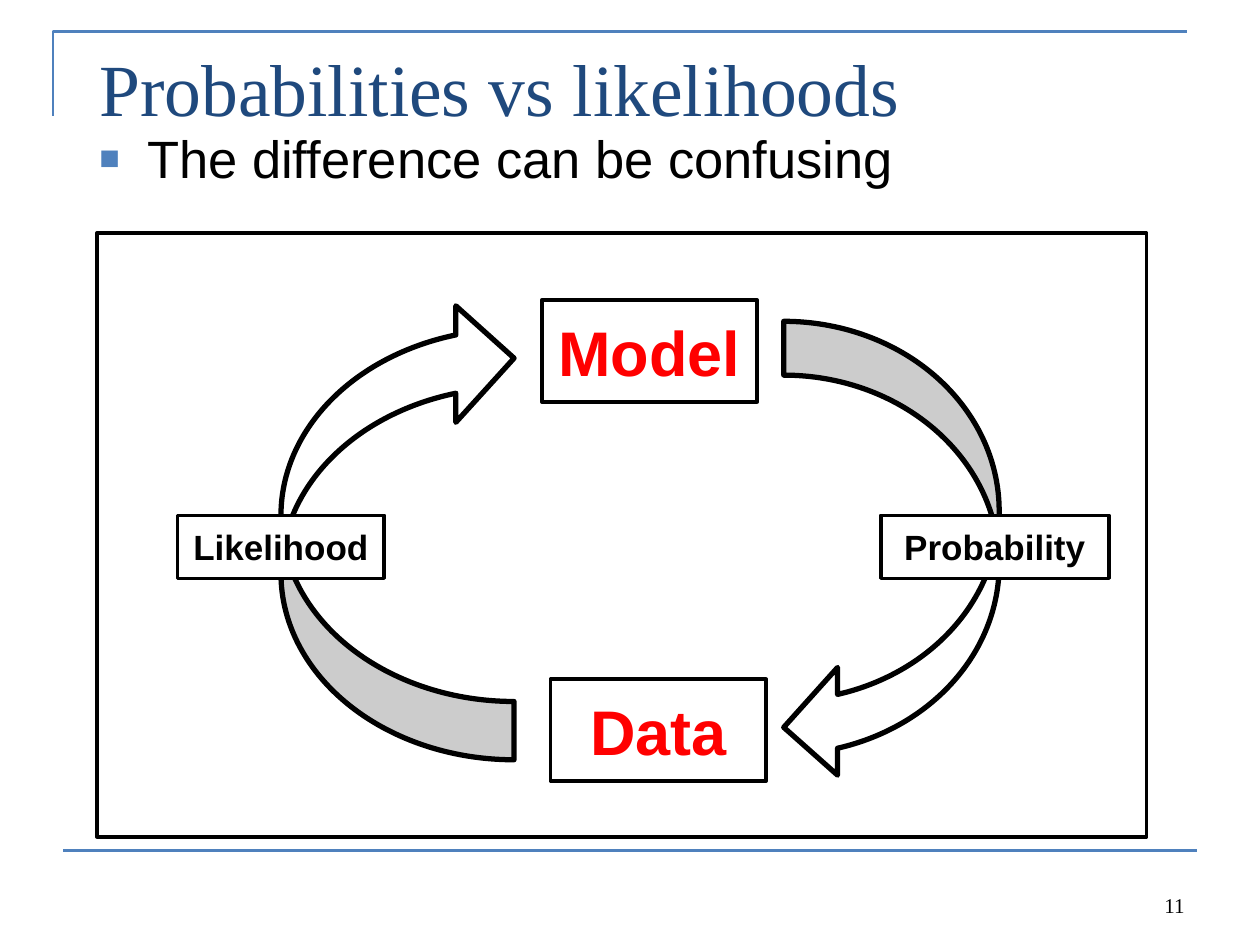
"""Build the slide contrasting probabilities with likelihoods."""
from dataclasses import dataclass

from lxml import etree
from pptx import Presentation
from pptx import util as u
from pptx.dml.color import RGBColor
from pptx.enum import shapes, text
from pptx.oxml import ns


@dataclass(frozen=True)
class Theme:
    accent: str = "4F81BD"
    heading: str = "1F497D"
    ink: str = "000000"
    paper: str = "FFFFFF"
    key: str = "FF0000"
    serif: str = "Times New Roman"
    sans: str = "Arial"
    title_size: float = 42
    body_size: float = 30
    key_size: float = 36
    label_size: float = 20
    number_size: float = 12


class SlideBuilder:
    def __init__(self, page, theme):
        self.page = page
        self.theme = theme

    def style_line(self, line, color, width):
        line.color.rgb = RGBColor.from_string(color)
        line.width = u.Pt(width)

    def style_shape(self, shape, fill, color, width):
        shape.shadow.inherit = False
        if fill:
            shape.fill.solid()
            shape.fill.fore_color.rgb = RGBColor.from_string(fill)
        else:
            shape.fill.background()
        self.style_line(shape.line, color, width)

    def add_span(self, para, words, font, size, color, bold=False):
        span = para.add_run()
        span.text = words
        span.font.name = font
        span.font.size = u.Pt(size)
        span.font.bold = bold
        span.font.color.rgb = RGBColor.from_string(color)

    def text_box(self, area, words, font, size, color, inset=0.05,
                 anchor=text.MSO_ANCHOR.TOP, align=text.PP_ALIGN.LEFT, bullet=False):
        frame = self.page.shapes.add_textbox(*map(u.Inches, area)).text_frame
        frame.word_wrap = True
        frame.margin_top = u.Inches(inset)
        frame.vertical_anchor = anchor
        para = frame.paragraphs[0]
        para.alignment = align
        if bullet:
            self.add_bullet(para)
        self.add_span(para, words, font, size, color)

    def add_bullet(self, para):
        props = para._p.get_or_add_pPr()
        indent = u.Inches(0.38)
        props.set("marL", str(indent))
        props.set("indent", str(-indent))
        color = etree.SubElement(props, ns.qn("a:buClr"))
        etree.SubElement(color, ns.qn("a:srgbClr"), val=self.theme.accent)
        etree.SubElement(props, ns.qn("a:buSzPct"), val="65000")
        etree.SubElement(props, ns.qn("a:buFont"), typeface=self.theme.sans)
        etree.SubElement(props, ns.qn("a:buChar"), char="■")

    def rule(self, start, end):
        line = self.page.shapes.add_connector(
            shapes.MSO_CONNECTOR.STRAIGHT, *map(u.Inches, start + end))
        self.style_line(line.line, self.theme.accent, 1.5)
        etree.SubElement(line._element.spPr, ns.qn("a:effectLst"))

    def corner(self, points):
        start, *rest = [tuple(map(u.Inches, point)) for point in points]
        outline = self.page.shapes.build_freeform(*start)
        outline.add_line_segments(rest, close=False)
        self.style_shape(outline.convert_to_shape(), None, self.theme.accent, 1.5)

    def arrow(self, area, rotation=0):
        shape = self.page.shapes.add_shape(
            shapes.MSO_SHAPE.CURVED_LEFT_ARROW, *map(u.Inches, area))
        shape.rotation = rotation
        self.style_shape(shape, self.theme.paper, self.theme.ink, 3)

    def box(self, area, words="", size=0, color="", fill=None, width=2):
        shape = self.page.shapes.add_shape(
            shapes.MSO_SHAPE.RECTANGLE, *map(u.Inches, area))
        self.style_shape(shape, fill, self.theme.ink, width)
        if words:
            frame = shape.text_frame
            frame.word_wrap = True
            frame.margin_left = frame.margin_right = 0
            frame.vertical_anchor = text.MSO_ANCHOR.MIDDLE
            para = frame.paragraphs[0]
            para.alignment = text.PP_ALIGN.CENTER
            self.add_span(para, words, self.theme.sans, size, color, bold=True)


def main():
    deck = Presentation()
    deck.slide_width, deck.slide_height = u.Inches(10), u.Inches(7.5)
    theme = Theme()
    slide = SlideBuilder(deck.slides.add_slide(deck.slide_layouts[6]), theme)

    slide.corner([(0.42, 0.92), (0.42, 0.25), (9.42, 0.25)])
    slide.rule((0.5, 6.75), (9.5, 6.75))
    slide.text_box((0.69, 0.21, 8.62, 1.45), "Probabilities vs likelihoods",
                   theme.serif, theme.title_size, theme.heading, inset=0.13)
    slide.text_box((0.69, 0.91, 8.62, 1.24), "The difference can be confusing",
                   theme.sans, theme.body_size, theme.ink, inset=0.09, bullet=True)

    slide.arrow((6.22, 2.55, 1.71, 3.65))
    slide.arrow((2.23, 2.38, 1.85, 3.65), rotation=180)
    for words, left, top in (("Model", 4.3, 2.38), ("Data", 4.37, 5.39)):
        slide.box((left, top, 1.71, 0.81), words, theme.key_size, theme.key)
    for words, left, width in (("Likelihood", 1.41, 1.64), ("Probability", 6.99, 1.81)):
        slide.box((left, 4.09, width, 0.5), words, theme.label_size, theme.ink, theme.paper)
    slide.box((0.77, 1.85, 8.33, 4.79), width=2.25)

    slide.text_box((7.17, 6.83, 2.33, 0.5), "11", theme.serif, theme.number_size,
                   theme.ink, anchor=text.MSO_ANCHOR.BOTTOM, align=text.PP_ALIGN.RIGHT)
    deck.save("out.pptx")


if __name__ == "__main__":
    main()
